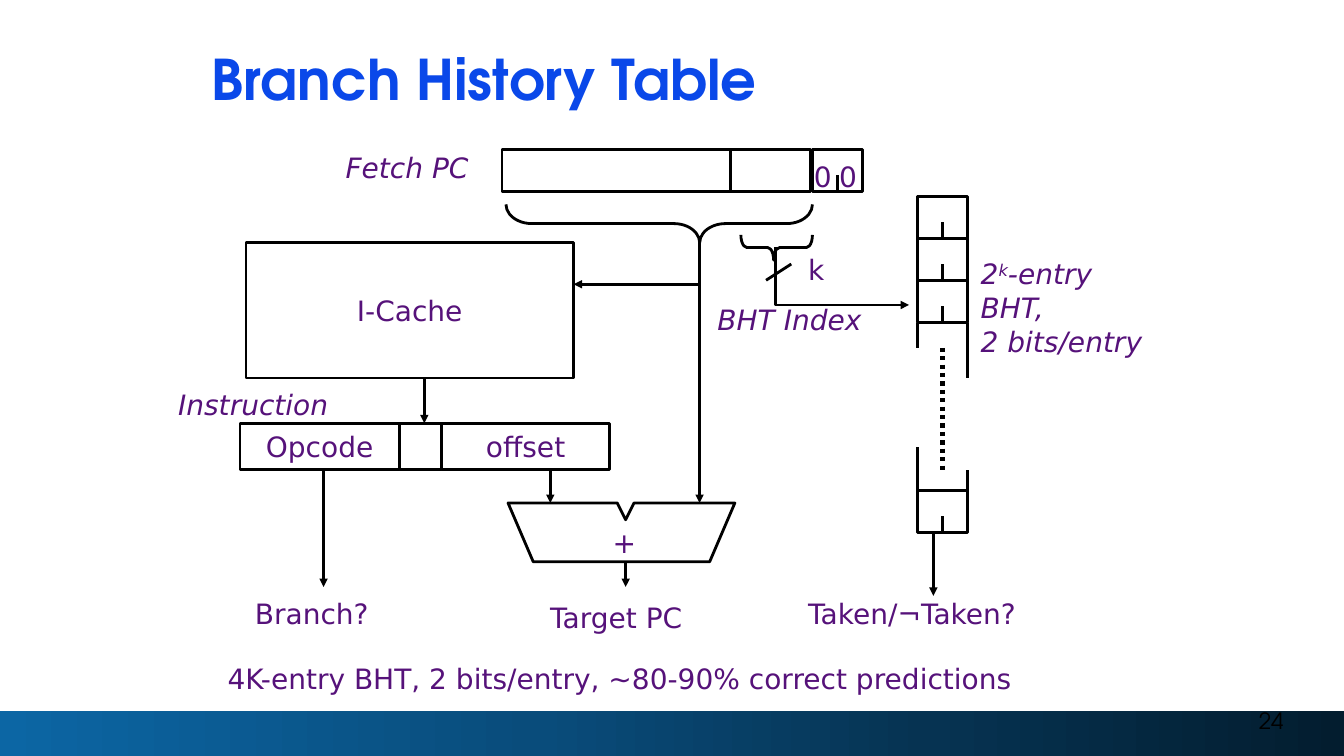
from pptx import Presentation
from pptx.dml.color import RGBColor
from pptx.enum.dml import MSO_LINE
from pptx.enum.shapes import MSO_CONNECTOR, MSO_SHAPE
from pptx.enum.text import MSO_ANCHOR, PP_ALIGN
from pptx.oxml import parse_xml
from pptx.oxml.ns import nsdecls, qn
from pptx.util import Pt

INK, PAPER, PLUM, BLUE = "000000", "FFFFFF", "56127A", "0A48E9"
BODY, HEAD = "DejaVu Sans", "TeX Gyre Adventor"
STOPS = [(0, "0C66A4"), (40, "094C7B"), (69, "063352"), (100, "031D2F")]


def color(code):
    return RGBColor.from_string(code)


def apply(item, values):
    for name, value in values.items():
        setattr(item, name, value)


def write(frame, lines, tint=PLUM, align=PP_ALIGN.LEFT, wrap=False,
          anchor=MSO_ANCHOR.TOP, **style):
    apply(frame, {"word_wrap": wrap, "vertical_anchor": anchor})
    look = {"size": Pt(20), "name": BODY, **style}
    for i, line in enumerate(lines):
        para = frame.paragraphs[0] if i == 0 else frame.add_paragraph()
        para.alignment = align
        for j, part in enumerate(line.split("^")):
            run = para.add_run()
            run.text = part
            apply(run.font, look)
            run.font.color.rgb = color(tint)
            if j == 1:
                run._r.get_or_add_rPr().set("baseline", "30000")


def label(slide, x, y, w, h, *lines, **style):
    box = slide.shapes.add_textbox(Pt(x), Pt(y), Pt(w), Pt(h))
    write(box.text_frame, lines, **style)
    return box


def stroke(item, width=2, arrow=False):
    item.line.color.rgb = color(INK)
    item.line.width = Pt(width)
    if arrow:
        ln = item._element.spPr.find(qn("a:ln"))
        ln.append(parse_xml(f'<a:tailEnd {nsdecls("a")} type="triangle"/>'))


def block(slide, x, y, w, h, text=""):
    item = slide.shapes.add_shape(MSO_SHAPE.RECTANGLE, Pt(x), Pt(y), Pt(w), Pt(h))
    item.shadow.inherit = False
    item.fill.solid()
    item.fill.fore_color.rgb = color(PAPER)
    stroke(item)
    if text:
        write(item.text_frame, [text], align=PP_ALIGN.CENTER, anchor=MSO_ANCHOR.MIDDLE)
    return item


def line(slide, x, y, dx, dy, arrow=False, width=2):
    item = slide.shapes.add_connector(
        MSO_CONNECTOR.STRAIGHT, Pt(x), Pt(y), Pt(x + dx), Pt(y + dy))
    stroke(item, width, arrow)
    item._element.spPr.append(parse_xml(f'<a:effectLst {nsdecls("a")}/>'))
    return item


def outline(slide, x, y, points, closed=False):
    build = slide.shapes.build_freeform(Pt(x), Pt(y))
    build.add_line_segments([(Pt(x + dx), Pt(y + dy)) for dx, dy in points], close=closed)
    item = build.convert_to_shape()
    item.shadow.inherit = False
    if closed:
        item.fill.solid()
        item.fill.fore_color.rgb = color(PAPER)
    else:
        item.fill.background()
    stroke(item, arrow=not closed)


def brace(slide, x, y, w, h, bend, tip):
    item = slide.shapes.add_shape(
        MSO_SHAPE.RIGHT_BRACE, Pt(x + (w - h) / 2), Pt(y + (h - w) / 2), Pt(h), Pt(w))
    item.rotation = 90
    item.shadow.inherit = False
    item.fill.background()
    item.adjustments[0], item.adjustments[1] = bend, tip
    stroke(item)


def cell(slide, x, y, w, h):
    item = block(slide, x, y, w, h)
    tick = line(slide, x + w / 2, y + h, 0, -12)
    tick.begin_connect(item, 2)


def frame(slide, w, h):
    bar = slide.shapes.add_shape(MSO_SHAPE.RECTANGLE, 0, Pt(h - 32), Pt(w), Pt(32))
    bar.shadow.inherit = False
    bar.line.fill.background()
    bar.fill.gradient()
    bar.fill.gradient_angle = 0
    stops = bar._element.spPr.find(qn("a:gradFill")).find(qn("a:gsLst"))
    stops.clear()
    for at, code in STOPS:
        stops.append(parse_xml(
            f'<a:gs {nsdecls("a")} pos="{at * 1000}"><a:srgbClr val="{code}"/></a:gs>'))
    label(slide, w - 252, h - 39.6, 216, 28.8, "24", tint=INK, align=PP_ALIGN.RIGHT,
          wrap=True, anchor=MSO_ANCHOR.MIDDLE, size=Pt(16), name=HEAD)
    title = label(slide, 144, 25, 564, 67, "Branch History Table", tint=BLUE, wrap=True,
                  anchor=MSO_ANCHOR.MIDDLE, size=Pt(40), name=HEAD, bold=True)
    title.text_frame.paragraphs[0].line_spacing = 0.9
    label(slide, 155.5, h - 71.3, 644, 31.7,
          "4K-entry BHT, 2 bits/entry, ~80-90% correct predictions", wrap=True)


def fetch(slide, x, y, w, h):
    block(slide, x, y, w - 37.6, h)
    cell(slide, x + w - 36, y, 36, h)
    for dx in (42, 24):
        label(slide, x + w - dx, y + 3, 27.4, 31.7, "0")
    label(slide, x - 118.8, y - 2.9, 103, 31.7, "Fetch PC", italic=True)
    line(slide, x + 163.4, y, 0, h)
    brace(slide, x + 2.8, y + 38.9, 218.9, 27.4, 0.673, 0.368)


def cache(slide, x, y, w, h):
    block(slide, x, y, w, h, "I-Cache")
    outline(slide, x + w + 90, y, [(0, 29.5), (-90, 29.5)])
    left, top = x - 4.3, y + h + 32.4
    for text, wide in (("Opcode", 113.8), ("", 30.2), ("offset", 120.2)):
        block(slide, left, top, wide, 33.1, text)
        left += wide
    line(slide, x + 127.4, y + h, 0, 32.4, True)
    label(slide, x - 55.5, y + h + 3.6, 124.6, 31.7, "Instruction", italic=True)


def adder(slide, x, y, w, h):
    notch = w / 2 + 3
    outline(slide, x, y, [(notch - 6, 0), (notch, 12), (notch + 6, 0),
                          (w, 0), (w - 18, h), (18, h)], True)
    for dx, dy, drop in ((notch, h, 18), (136.8, -156.3, 156.3),
                         (-131.8, -23.8, 83.8), (30.2, -23.8, 23.8)):
        line(slide, x + dx, y + dy, 0, drop, True)
    label(slide, x + 67.7, y + 12.2, 31, 31.7, "+")
    label(slide, x + 23, y + 66.2, 111.6, 31.7, "Target PC")
    label(slide, x - 187.9, y + 63.3, 95.8, 31.7, "Branch?")


def index(slide, x, y, w, h):
    brace(slide, x, y, w, h, 0.236, 0.542)
    outline(slide, x + 24.5, y + 8.6, [(0, 41.4), (95.7, 41.4)])
    line(slide, x + 18, y + 32.4, 18, -11.6)
    label(slide, x + 41, y + 9.3, 26.6, 31.7, "k")
    label(slide, x - 23.8, y + 44.6, 156, 31.7, "BHT Index", wrap=True, italic=True)


def table(slide, x, y, w, h):
    high = h / 8
    for row in (0, 1, 2, 7):
        cell(slide, x, y + row * high, w, high)
    top, low = y + 3 * high, y + 7 * high
    for dx, start, drop in ((0, top, 18), (0, low, -31), (w, low, -15), (w, top, 39.6)):
        line(slide, x + dx, start, 0, drop)
    dots = line(slide, x + w / 2, top + 18, 0, 87, width=3)
    dots.line.dash_style = MSO_LINE.ROUND_DOT
    line(slide, x + 11.5, y + h, 0, 45.2, True)
    label(slide, x + 38.2, y + 39.6, 134, 80, "2^k^-entry", "BHT,", "2 bits/entry", italic=True)
    label(slide, x - 85, y + h + 42.2, 169.2, 31.7, "Taken/¬Taken?")


def main():
    deck = Presentation()
    apply(deck, {"slide_width": Pt(960), "slide_height": Pt(540)})
    slide = deck.slides.add_slide(deck.slide_layouts[6])
    frame(slide, 960, 540)
    fetch(slide, 358.6, 107.1, 257.7, 30)
    adder(slide, 362.9, 359.3, 162, 42)
    cache(slide, 175.7, 173.5, 234, 96.5)
    index(slide, 529.2, 167.8, 51.1, 18)
    table(slide, 655.2, 140.4, 36, 240)
    deck.save("out.pptx")


if __name__ == "__main__":
    main()
